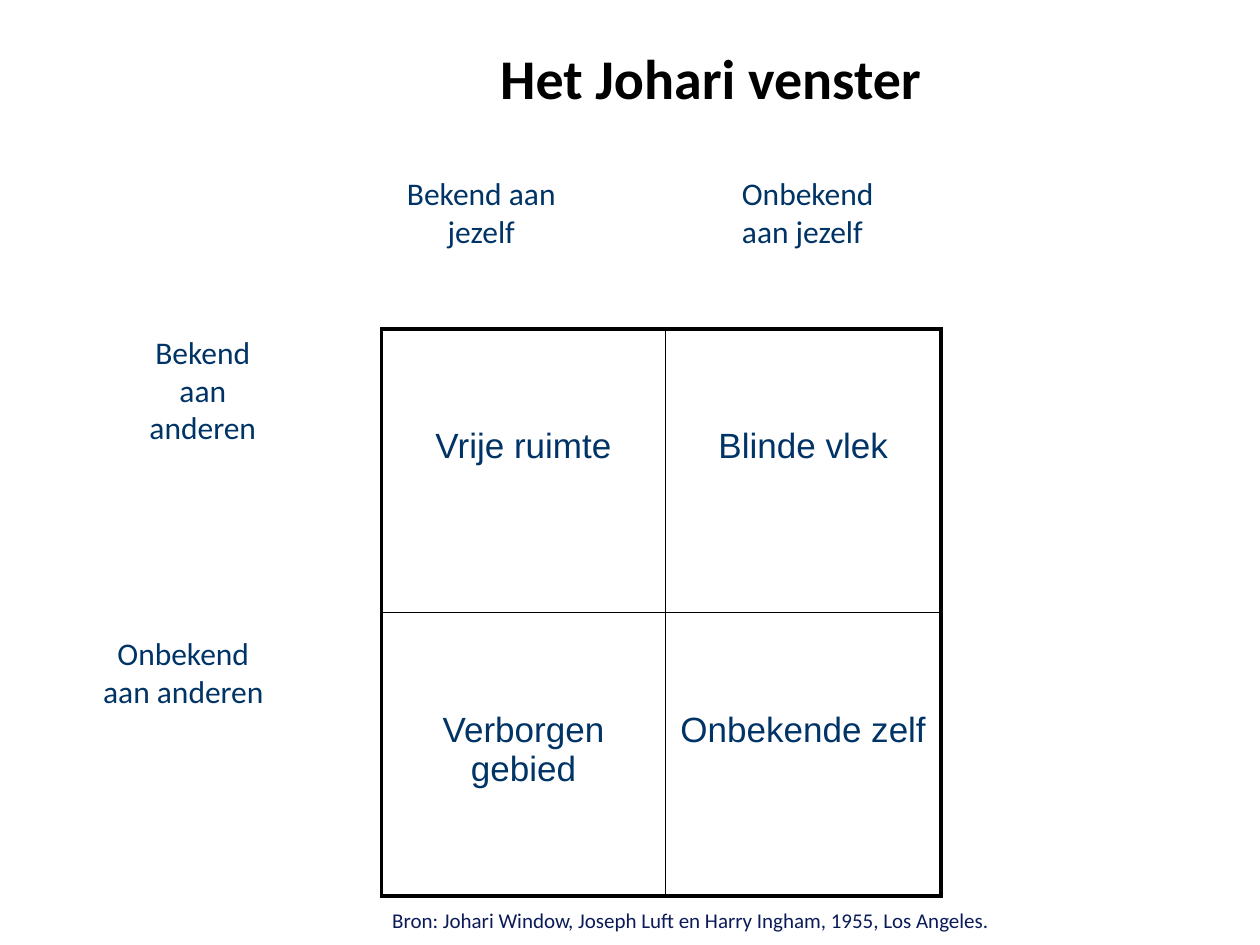
from lxml.etree import SubElement
from pptx import Presentation
from pptx.dml.color import RGBColor
from pptx.enum.text import MSO_ANCHOR, PP_ALIGN
from pptx.oxml.ns import qn
from pptx.util import Inches, Pt

BLACK = RGBColor(0x00, 0x00, 0x00)
BLUE = RGBColor(0x00, 0x33, 0x66)
NAVY = RGBColor(0x0B, 0x1A, 0x58)

LEFT, TOP = 3.03, 2.61
COL_WIDTHS = (2.25, 2.19)
ROW_HEIGHT = 2.25
OUTER, INNER = 2.25, 1

QUADRANTS = (
    ("Vrije ruimte", "Blinde vlek"),
    ("Verborgen gebied", "Onbekende zelf"),
)
AXIS_LABELS = (
    ("Bekend aan jezelf", LEFT + 0.08, 1.39, 1.42, 0.64, PP_ALIGN.CENTER),
    ("Onbekend aan jezelf", LEFT + 2.76, 1.39, 1.5, 0.64, PP_ALIGN.LEFT),
    ("Bekend aan anderen", 0.98, 2.68, 1.26, 0.91, PP_ALIGN.CENTER),
    ("Onbekend aan anderen", 0.67, 4.77, 1.57, 0.91, PP_ALIGN.CENTER),
)


def format_paragraph(p, name, size, color, align, bold=False):
    p.alignment = align
    p.font.name, p.font.size, p.font.bold = name, Pt(size), bold
    p.font.color.rgb = color


def add_title(s, text):
    title = s.shapes.title
    title.left, title.top = Inches(3.87), Inches(0.3)
    title.width, title.height = Inches(4.22), Inches(0.63)
    tf = title.text_frame
    tf.text = text
    tf.vertical_anchor = MSO_ANCHOR.BOTTOM
    format_paragraph(tf.paragraphs[0], "Calibri", 32, BLACK, PP_ALIGN.LEFT, True)


def add_label(s, text, x, y, w, h, align, size=18, color=BLUE):
    box = s.shapes.add_textbox(Inches(x), Inches(y), Inches(w), Inches(h))
    tf = box.text_frame
    tf.word_wrap = True
    tf.vertical_anchor = MSO_ANCHOR.BOTTOM
    tf.text = text
    format_paragraph(tf.paragraphs[0], "Calibri", size, color, align)


def set_borders(cell, widths):
    """Draw black borders; widths are in points: left, right, top, bottom."""
    tc_pr = cell._tc.get_or_add_tcPr()
    for i, (side, width) in enumerate(zip("LRTB", widths)):
        ln = SubElement(tc_pr, qn(f"a:ln{side}"), w=str(Pt(width)))
        fill = SubElement(ln, qn("a:solidFill"))
        SubElement(fill, qn("a:srgbClr"), val=str(BLACK))
        tc_pr.insert(i, ln)


def add_window(s):
    rows, cols = len(QUADRANTS), len(COL_WIDTHS)
    table = s.shapes.add_table(
        rows, cols, Inches(LEFT), Inches(TOP),
        Inches(sum(COL_WIDTHS)), Inches(rows * ROW_HEIGHT)).table
    table.first_row = table.horz_banding = False
    for column, width in zip(table.columns, COL_WIDTHS):
        column.width = Inches(width)
    for r, texts in enumerate(QUADRANTS):
        table.rows[r].height = Inches(ROW_HEIGHT)
        for c, text in enumerate(texts):
            cell = table.cell(r, c)
            cell.text = text
            cell.fill.background()
            cell.margin_left = cell.margin_right = Inches(0.08)
            cell.margin_top = Inches(0.78)
            format_paragraph(cell.text_frame.paragraphs[0], "Arial", 20, BLUE,
                             PP_ALIGN.CENTER)
            edges = (c == 0, c == cols - 1, r == 0, r == rows - 1)
            set_borders(cell, [OUTER if edge else INNER for edge in edges])


def main():
    prs = Presentation()
    prs.slide_width, prs.slide_height = Inches(10), Inches(7.5)
    s = prs.slides.add_slide(prs.slide_layouts[5])
    add_window(s)
    add_title(s, "Het Johari venster")
    for label in AXIS_LABELS:
        add_label(s, *label)
    add_label(s, "Bron: Johari Window, Joseph Luft en Harry Ingham, 1955, Los Angeles.",
              1.85, 7.15, 6.1, 0.3, PP_ALIGN.RIGHT, 12, NAVY)
    prs.save("out.pptx")


if __name__ == "__main__":
    main()
